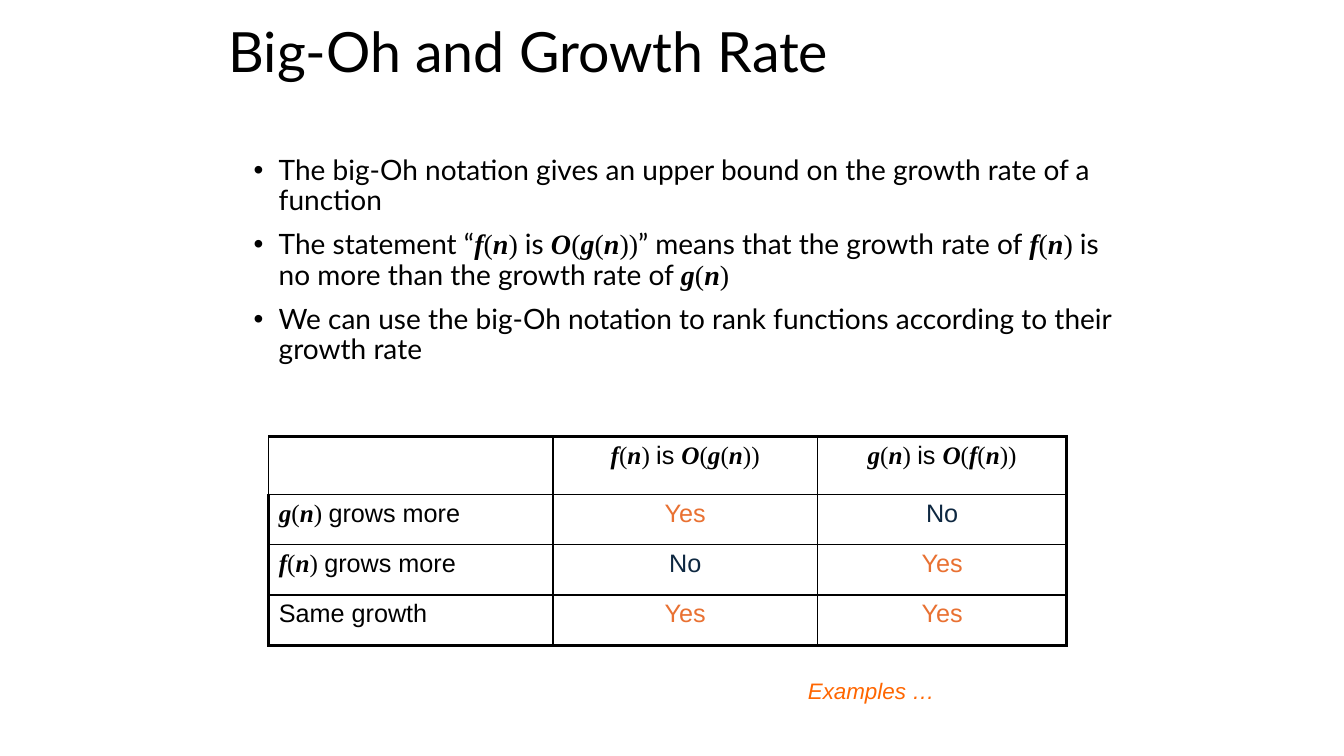
from dataclasses import dataclass

from pptx import Presentation
from pptx.dml.color import RGBColor
from pptx.enum.text import MSO_ANCHOR, MSO_AUTO_SIZE, PP_ALIGN
from pptx.oxml.ns import qn
from pptx.util import Pt
from lxml.etree import SubElement


@dataclass(frozen=True)
class Theme:
    black: str = "000000"
    yes: str = "E97132"
    no: str = "0E2841"
    examples: str = "FF6600"
    heading_font: str = "Lato"
    table_font: str = "Arial"
    formula_font: str = "Times New Roman"
    title_size: float = 39.6
    body_size: float = 20
    table_size: float = 18
    examples_size: float = 16
    thin: float = 1
    thick: float = 2.25


THEME = Theme()

STATEMENTS = [
    "The big-Oh notation gives an upper bound on the growth rate of a function",
    "The statement “$f(n) $is $O(g(n))$” means that the growth rate of $f(n) $is "
    "no more than the growth rate of $g(n)$",
    "We can use the big-Oh notation to rank functions according to their growth rate",
]

COLUMN_WIDTHS = [203, 189, 178]
ROW_HEIGHTS = [41, 36, 36, 36]
COMPARISON = [
    ["", "$f(n) $is $O(g(n))$", "$g(n) $is $O(f(n))$"],
    ["$g(n) $grows more", "Yes", "No"],
    ["$f(n) $grows more", "No", "Yes"],
    ["Same growth", "Yes", "Yes"],
]
ANSWER_COLORS = {"Yes": THEME.yes, "No": THEME.no}


def add_run(paragraph, text, font, size, color, bold=False, italic=False):
    run = paragraph.add_run()
    run.text = text
    run.font.name = font
    run.font.size = Pt(size)
    run.font.color.rgb = RGBColor.from_string(color)
    run.font.bold = bold
    run.font.italic = italic


def split_formula(formula):
    pieces = []
    for character in formula:
        if pieces and not character.isalpha() and not pieces[-1].isalpha():
            pieces[-1] += character
        else:
            pieces.append(character)
    return pieces


def write_text(paragraph, text, *, font, size, color=THEME.black, italic=False,
               align=PP_ALIGN.LEFT, line_spacing=None, space_before=0):
    paragraph.alignment = align
    paragraph.line_spacing = line_spacing
    paragraph.space_before = Pt(space_before)
    for index, part in enumerate(text.split("$")):
        if index % 2:
            for piece in split_formula(part):
                variable = piece.isalpha()
                add_run(paragraph, piece, THEME.formula_font, size, color,
                        bold=variable, italic=variable)
        elif part:
            add_run(paragraph, part, font, size, color, italic=italic)


def set_bullet(paragraph, indent):
    properties = paragraph._p.get_or_add_pPr()
    properties.set("marL", str(Pt(indent)))
    properties.set("indent", str(-Pt(indent)))
    SubElement(properties, qn("a:buFont")).set("typeface", "Arial")
    SubElement(properties, qn("a:buChar")).set("char", "•")


def set_borders(cell, widths):
    properties = cell._tc.get_or_add_tcPr()
    for side, width in widths.items():
        line = SubElement(properties, qn(f"a:ln{side}"))
        line.set("w", str(Pt(width)))
        fill = SubElement(line, qn("a:solidFill"))
        SubElement(fill, qn("a:srgbClr")).set("val", THEME.black)


def place_title(slide, text):
    title = slide.shapes.title
    title.left, title.top, title.width, title.height = Pt(156), Pt(12), Pt(648), Pt(54)
    frame = title.text_frame
    frame.word_wrap = True
    frame.auto_size = MSO_AUTO_SIZE.NONE
    frame.vertical_anchor = MSO_ANCHOR.MIDDLE
    write_text(frame.paragraphs[0], text, font=THEME.heading_font,
               size=THEME.title_size, line_spacing=0.9)


def add_text_frame(slide, left, top, width, height):
    box = slide.shapes.add_textbox(Pt(left), Pt(top), Pt(width), Pt(height))
    box.text_frame.word_wrap = True
    return box.text_frame


def add_bullets(slide, statements):
    frame = add_text_frame(slide, 174, 108, 630, 174)
    for index, statement in enumerate(statements):
        paragraph = frame.add_paragraph() if index else frame.paragraphs[0]
        set_bullet(paragraph, 18)
        write_text(paragraph, statement, font=THEME.heading_font, size=THEME.body_size,
                   line_spacing=0.9, space_before=10 if index else 0)


def add_comparison_table(slide, rows):
    last_row, last_column = len(rows) - 1, len(rows[0]) - 1
    table = slide.shapes.add_table(
        len(rows), len(rows[0]), Pt(192), Pt(312),
        Pt(sum(COLUMN_WIDTHS)), Pt(sum(ROW_HEIGHTS))).table
    table.first_row = False
    table.horz_banding = False
    for column, width in zip(table.columns, COLUMN_WIDTHS):
        column.width = Pt(width)
    for row, height in zip(table.rows, ROW_HEIGHTS):
        row.height = Pt(height)

    def border(is_outer):
        return THEME.thick if is_outer else THEME.thin

    for row_index, row in enumerate(rows):
        for column_index, text in enumerate(row):
            cell = table.cell(row_index, column_index)
            set_borders(cell, {
                "L": border(column_index == 0 and row_index > 0),
                "R": border(column_index == last_column),
                "T": border(row_index == 0),
                "B": border(row_index == last_row),
            })
            cell.fill.background()
            write_text(cell.text_frame.paragraphs[0], text, font=THEME.table_font,
                       size=THEME.table_size,
                       color=ANSWER_COLORS.get(text, THEME.black),
                       align=PP_ALIGN.CENTER if column_index else PP_ALIGN.LEFT)


def add_examples_note(slide, text):
    frame = add_text_frame(slide, 570, 480, 168, 26.6)
    write_text(frame.paragraphs[0], text, font=THEME.table_font,
               size=THEME.examples_size, color=THEME.examples, italic=True)


def main():
    presentation = Presentation()
    presentation.slide_width = Pt(960)
    presentation.slide_height = Pt(540)
    slide = presentation.slides.add_slide(presentation.slide_layouts[5])
    place_title(slide, "Big-Oh and Growth Rate")
    add_bullets(slide, STATEMENTS)
    add_comparison_table(slide, COMPARISON)
    add_examples_note(slide, "Examples …")
    presentation.save("out.pptx")


if __name__ == "__main__":
    main()
